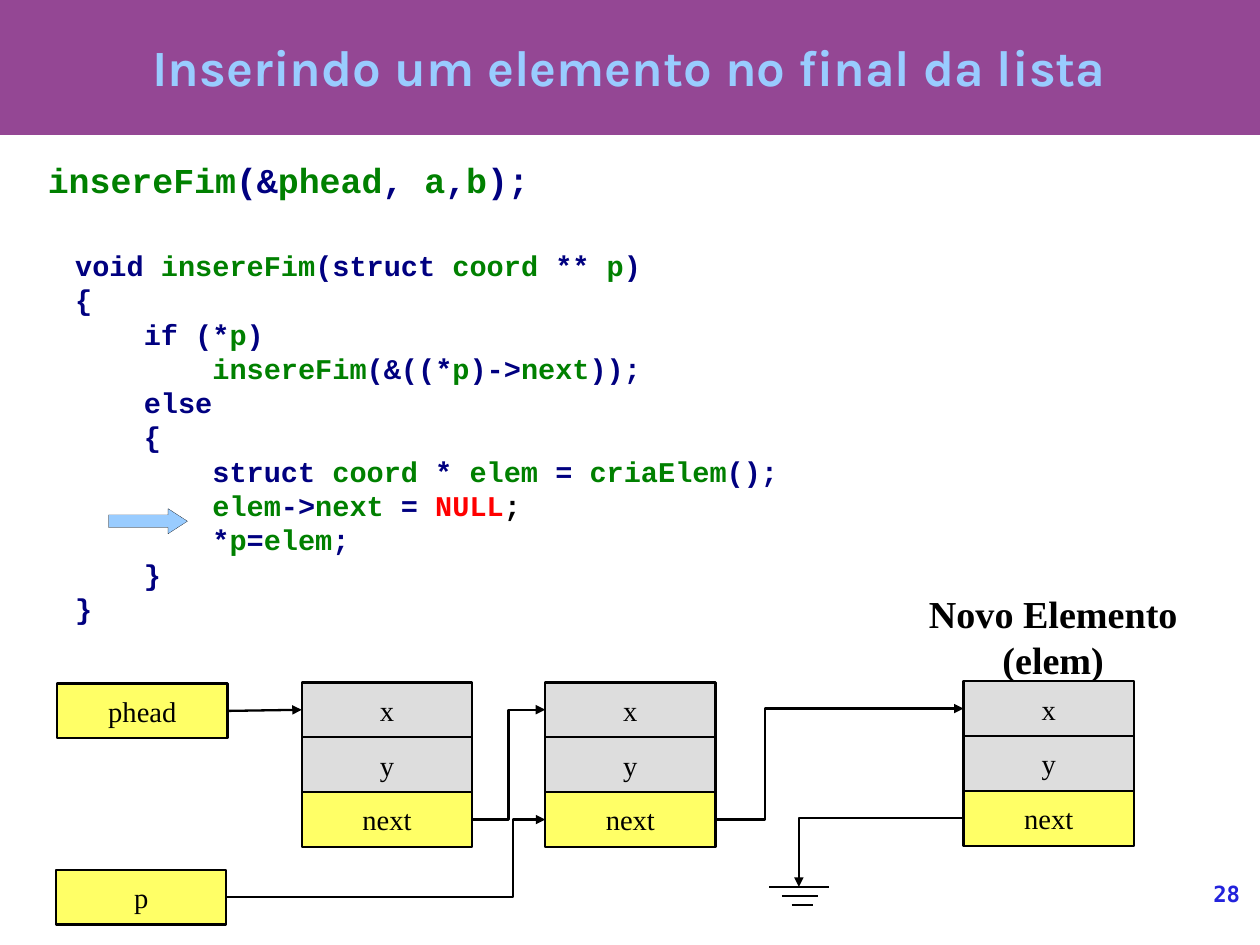
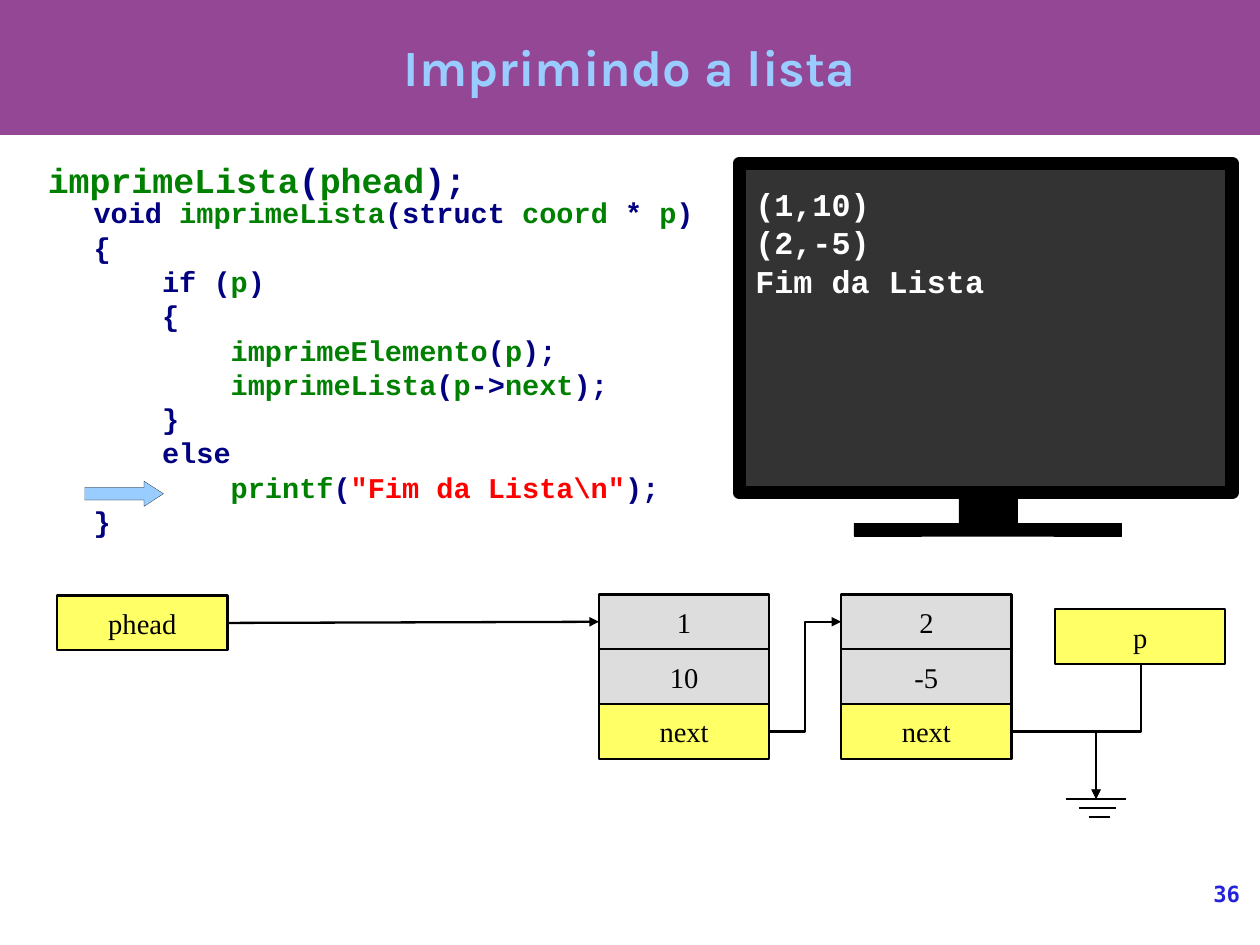
from itertools import groupby

from lxml import etree
from pptx import Presentation
from pptx.dml.color import RGBColor
from pptx.enum import shapes, text
from pptx.oxml.ns import qn
from pptx.util import Cm, Inches, Pt

COLOURS = {
    "band": "944794", "title": "99CCFF", "pointer": "FFFF66", "data": "DDDDDD",
    "ink": "000000", "syntax": "000080", "name": "008000", "literal": "FF0000",
    "number": "2323DC", "screen": "333333", "white": "FFFFFF",
}
KEYWORDS = {"void", "struct", "if", "else"}
BOX_WIDTH, BOX_HEIGHT = 1.49, 0.48
LINE, HAIRLINE = 1.45, 0.1
LEFT_SITE, RIGHT_SITE = 1, 3
TITLE_ONLY = 5


def colour(name):
    return RGBColor.from_string(COLOURS[name])


def format_run(run, size, font, colour_name, bold=True):
    run.font.size = Pt(size)
    run.font.name = font
    run.font.bold = bold
    run.font.color.rgb = colour(colour_name)


def set_frame(frame, margin_x=0.1, margin_y=0.05, anchor="TOP", wrap=True):
    frame.margin_left = frame.margin_right = Inches(margin_x)
    frame.margin_top = frame.margin_bottom = Inches(margin_y)
    frame.vertical_anchor = getattr(text.MSO_ANCHOR, anchor)
    frame.word_wrap = wrap
    frame.auto_size = text.MSO_AUTO_SIZE.NONE


def write(frame, content, size, font, colour_name, align="LEFT", bold=True):
    frame.text = content
    for paragraph in frame.paragraphs:
        paragraph.alignment = getattr(text.PP_ALIGN, align)
        for run in paragraph.runs:
            format_run(run, size, font, colour_name, bold)


def add_text(slide, place, margins=(0.1, 0.05), wrap=True):
    box = slide.shapes.add_textbox(*map(Inches, place))
    set_frame(box.text_frame, *margins, wrap=wrap)
    return box.text_frame


def add_shape(slide, place, fill, line=None, kind="RECTANGLE"):
    shape = slide.shapes.add_shape(
        getattr(shapes.MSO_SHAPE, kind), *map(Inches, place))
    shape.shadow.inherit = False
    shape.fill.solid()
    shape.fill.fore_color.rgb = colour(fill)
    if line is None:
        shape.line.fill.background()
    else:
        shape.line.color.rgb = colour("ink")
        shape.line.width = Pt(line)
    return shape


def add_band(slide):
    """Put the title band on the slide's layout, which all slides share."""
    band = add_shape(slide, (0, -0.01, 11.02, 1.19), "band")
    band.width = Cm(28)
    slide.slide_layout.shapes.element.insert(2, band.element)


def add_slide(presentation, title, number):
    slide = presentation.slides.add_slide(presentation.slide_layouts[TITLE_ONLY])
    placeholder = slide.shapes.title
    placeholder.left, placeholder.top = Inches(0.55), Inches(-0.01)
    placeholder.width, placeholder.height = Inches(9.92), Inches(1.18)
    set_frame(placeholder.text_frame, 0, 0, "MIDDLE")
    write(placeholder.text_frame, title, 32, "Karla", "title", "CENTER")
    frame = add_text(slide, (9.17, 7.7, 1.68, 0.57), (0, 0))
    write(frame, str(number), 14, "DejaVu Sans Mono", "number", "RIGHT")
    return slide


def code_tokens(line):
    """Yield (text, colour name) pairs for one line of C."""
    previous = ""
    for index, part in enumerate(line.split('"')):
        if index % 2:
            yield f'"{part}"', "literal"
            continue
        for is_word, characters in groupby(part, key=str.isalnum):
            token = "".join(characters)
            if token == "NULL":
                kind = "literal"
            elif previous == "NULL":
                kind = "ink"
            elif is_word and token not in KEYWORDS:
                kind = "name"
            else:
                kind = "syntax"
            yield token, kind
            previous = token


def add_code(slide, place, lines, size=18):
    """Add highlighted code; lines are (depth, code) pairs."""
    frame = add_text(slide, place)
    for index, (depth, line) in enumerate(lines):
        paragraph = frame.add_paragraph() if index else frame.paragraphs[0]
        properties = paragraph._p.get_or_add_pPr()
        properties.set("marL", str(Inches(0.6 * depth)))
        properties.set("indent", "0")
        for token, kind in code_tokens(line):
            run = paragraph.add_run()
            run.text = token
            format_run(run, size, "Courier New", kind)


def add_call(slide, call):
    add_code(slide, (0.32, 1.34, 6, 0.5), [(0, call)], 22)


def add_box(slide, left, top, label, fill="pointer"):
    box = add_shape(slide, (left, top, BOX_WIDTH, BOX_HEIGHT), fill, LINE)
    set_frame(box.text_frame, 0.11, 0.06, "MIDDLE", wrap=False)
    write(box.text_frame, label, 18, "Times New Roman", "ink", "CENTER", False)
    return box


def add_node(slide, left, top, first, second):
    """Stack the three fields of a list element; return the first and last."""
    fields = ((first, "data"), (second, "data"), ("next", "pointer"))
    boxes = [add_box(slide, left, top + row * BOX_HEIGHT, label, fill)
             for row, (label, fill) in enumerate(fields)]
    return boxes[0], boxes[-1]


def add_line(owner, begin, end, kind="STRAIGHT", arrow=True):
    line = owner.shapes.add_connector(
        getattr(shapes.MSO_CONNECTOR, kind), *map(Inches, (*begin, *end)))
    line.line.color.rgb = colour("ink")
    line.line.width = Pt(LINE)
    properties = line.element.spPr
    if arrow:
        outline = properties.find(qn("a:ln"))
        etree.SubElement(outline, qn("a:tailEnd"), type="triangle")
    etree.SubElement(properties, qn("a:effectLst"))
    return line


def link(slide, source, target, kind="ELBOW", bend=0.5):
    """Glue an arrow from the right of source to the left of target."""
    line = add_line(slide, (0, 0), (1, 1), kind)
    line.begin_connect(source, RIGHT_SITE)
    line.end_connect(target, LEFT_SITE)
    if kind == "ELBOW":
        guides = line.element.spPr.find(qn("a:prstGeom")).get_or_add_avLst()
        etree.SubElement(guides, qn("a:gd"), name="adj1",
                         fmla=f"val {round(bend * 100000)}")


def add_corner_arrow(slide, begin, end):
    """Go sideways, then down."""
    line = add_line(slide, begin, end, "ELBOW")
    line.element.spPr.find(qn("a:prstGeom")).set("prst", "bentConnector2")


def add_step_arrow(slide, begin, end):
    """Go down, left and down again: an elbow turned by a quarter."""
    centre_x, centre_y = ((a + b) / 2 for a, b in zip(begin, end))
    half_width, half_height = (end[1] - begin[1]) / 2, (begin[0] - end[0]) / 2
    line = add_line(slide, (centre_x - half_width, centre_y - half_height),
                    (centre_x + half_width, centre_y + half_height), "ELBOW")
    line.element.spPr.find(qn("a:xfrm")).set("rot", "5400000")


def add_ground(slide, centre, top):
    """Draw three shrinking lines, the lower ones a little to the right."""
    group = slide.shapes.add_group_shape()
    bars = ((0, 0.52), (0.01, 0.32), (0.03, 0.19))
    for row, (shift, width) in enumerate(bars):
        left, y = centre + shift - width / 2, top + row * 0.08
        add_line(group, (left, y), (left + width, y), arrow=False)


def add_step_marker(slide, left, top):
    marker = add_shape(slide, (left, top, 0.69, 0.22), "title", HAIRLINE, "RIGHT_ARROW")
    marker.adjustments[0], marker.adjustments[1] = 0.5, 0.77


def add_monitor(slide, output):
    add_shape(slide, (6.47, 1.43, 4.31, 2.88), "screen", 8.65)
    add_shape(slide, (8.39, 4.31, 0.51, 0.27), "ink", HAIRLINE)
    add_shape(slide, (7.47, 4.58, 2.34, 0.11), "ink", HAIRLINE)
    frame = add_text(slide, (6.51, 1.57, 2.2, 1.05), wrap=False)
    write(frame, output, 20, "Courier New", "white")


def build_insert_slide(slide):
    add_call(slide, "insereFim(&phead, a,b);")
    add_code(slide, (0.56, 2.12, 7.5, 3.5), [
        (0, "void insereFim(struct coord ** p)"),
        (0, "{"),
        (1, "if (*p)"),
        (2, "insereFim(&((*p)->next));"),
        (1, "else"),
        (1, "{"),
        (2, "struct coord * elem = criaElem();"),
        (2, "elem->next = NULL;"),
        (2, "*p=elem;"),
        (1, "}"),
        (0, "}"),
    ])
    add_step_marker(slide, 0.95, 4.45)
    head = add_box(slide, 0.5, 5.98, "phead")
    pointer = add_box(slide, 0.49, 7.61, "p")
    first_top, first_next = add_node(slide, 2.64, 5.97, "x", "y")
    second_top, second_next = add_node(slide, 4.77, 5.97, "x", "y")
    new_top, _ = add_node(slide, 8.43, 5.96, "x", "y")
    link(slide, head, first_top, "STRAIGHT")
    link(slide, first_next, second_top)
    link(slide, second_next, new_top, bend=0.2)
    link(slide, pointer, second_next, bend=0.9)
    ground = (6.99, 7.76)
    add_ground(slide, *ground)
    add_corner_arrow(slide, (8.43, 7.16), ground)
    frame = add_text(slide, (8.03, 5.12, 2.37, 0.84), wrap=False)
    write(frame, "Novo Elemento\n(elem)", 24, "Times New Roman", "ink", "CENTER")


def build_print_slide(slide):
    add_call(slide, "imprimeLista(phead);")
    add_code(slide, (0.72, 1.66, 5.7, 3.2), [
        (0, "void imprimeLista(struct coord * p)"),
        (0, "{"),
        (1, "if (p)"),
        (1, "{"),
        (2, "imprimeElemento(p);"),
        (2, "imprimeLista(p->next);"),
        (1, "}"),
        (1, "else"),
        (2, r'printf("Fim da Lista\n");'),
        (0, "}"),
    ])
    add_step_marker(slide, 0.74, 4.21)
    head = add_box(slide, 0.5, 5.21, "phead")
    add_box(slide, 9.23, 5.33, "p")
    first_top, first_next = add_node(slide, 5.24, 5.2, "1", "10")
    second_top, _ = add_node(slide, 7.36, 5.2, "2", "-5")
    link(slide, head, first_top, "STRAIGHT")
    link(slide, first_next, second_top)
    ground = (9.59, 6.99)
    add_ground(slide, *ground)
    add_corner_arrow(slide, (8.85, 6.4), ground)
    add_step_arrow(slide, (9.98, 5.81), ground)
    add_monitor(slide, "(1,10)\n(2,-5)\nFim da Lista")


def main():
    presentation = Presentation()
    presentation.slide_width, presentation.slide_height = Cm(28), Cm(21)
    insert_slide = add_slide(presentation, "Inserindo um elemento no final da lista", 28)
    add_band(insert_slide)
    build_insert_slide(insert_slide)
    build_print_slide(add_slide(presentation, "Imprimindo a lista", 36))
    presentation.save("out.pptx")


if __name__ == "__main__":
    main()
